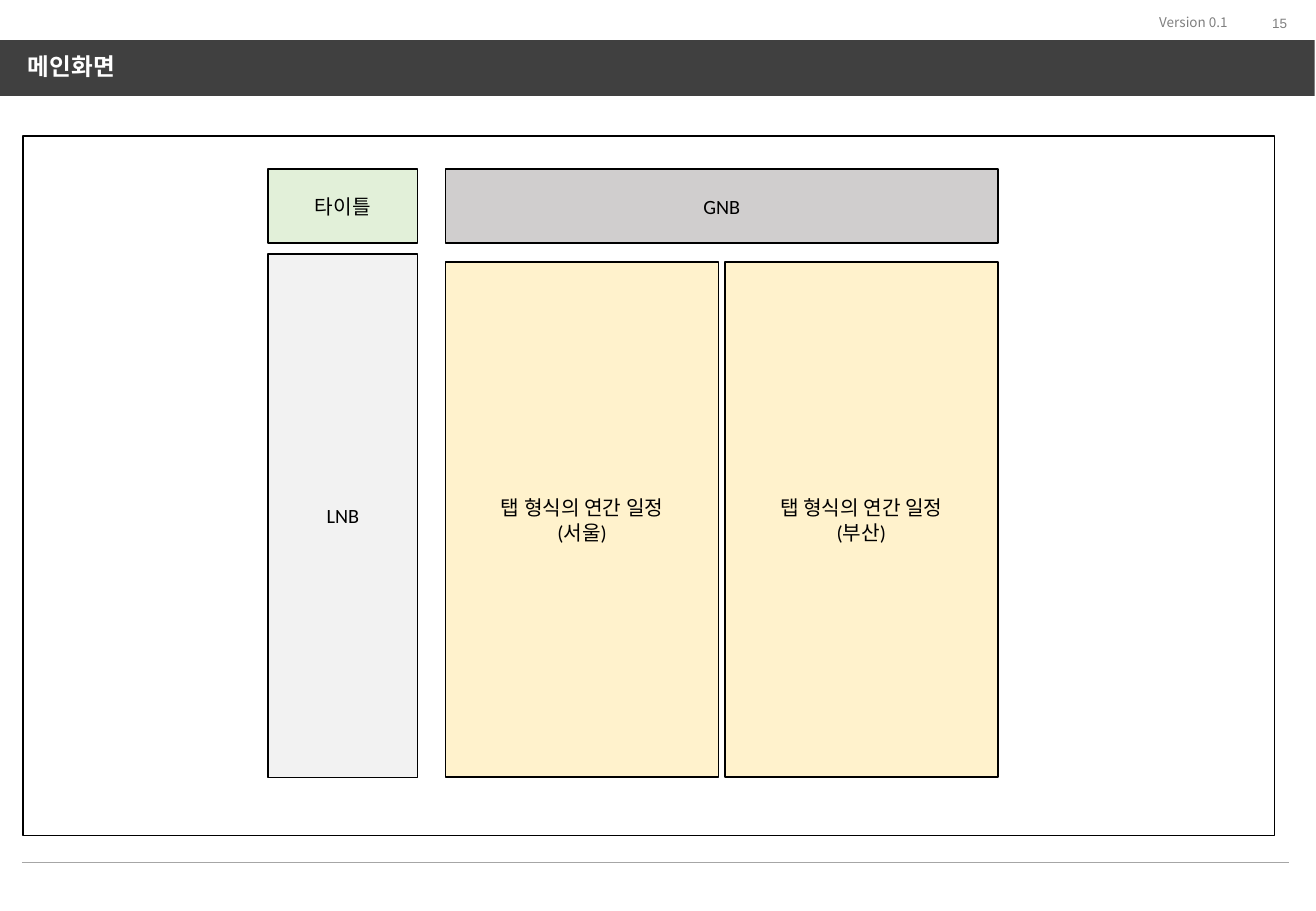
from dataclasses import dataclass

from lxml.etree import SubElement
from pptx import Presentation
from pptx.dml.color import RGBColor
from pptx.enum.shapes import MSO_CONNECTOR, MSO_SHAPE
from pptx.enum.text import MSO_ANCHOR, PP_ALIGN
from pptx.oxml.ns import qn
from pptx.shapes.autoshape import Shape
from pptx.slide import Slide
from pptx.text.text import TextFrame
from pptx.util import Inches, Pt


@dataclass(frozen=True)
class Theme:
    ink: str = "000000"
    white: str = "FFFFFF"
    bar: str = "404040"
    rule: str = "A6A6A6"
    mute: str = "7F7F7F"
    menu: str = "F2F2F2"
    top: str = "D0CECE"
    tab: str = "FFF2CC"
    head: str = "E2F0D9"
    body: str = "Calibri"
    sans: str = "Arial"
    asian: str = "Noto Sans CJK KR"
    small: int = 8
    normal: int = 12
    large: int = 14


@dataclass(frozen=True)
class Box:
    left: float
    top: float
    width: float
    height: float
    fill: str | None = None
    line: str | None = None
    text: str = ""


@dataclass(frozen=True)
class Note:
    left: float
    top: float
    width: float
    height: float
    text: str
    face: str
    align: PP_ALIGN
    anchor: MSO_ANCHOR
    wrap: bool


THEME = Theme()


def write(frame: TextFrame, text: str, face: str, size: int, color: str,
          align: PP_ALIGN, bold: bool = False) -> None:
    frame.text = text
    for para in frame.paragraphs:
        para.alignment = align
        font = para.font
        font.name, font.size, font.bold = face, Pt(size), bold
        font.color.rgb = RGBColor.from_string(color)
        props = para._p.pPr.find(qn("a:defRPr"))
        SubElement(props, qn("a:ea")).set("typeface", THEME.asian)


def draw_box(slide: Slide, box: Box) -> Shape:
    shape = slide.shapes.add_shape(
        MSO_SHAPE.RECTANGLE, Inches(box.left), Inches(box.top),
        Inches(box.width), Inches(box.height))
    shape.shadow.inherit = False
    if box.fill:
        shape.fill.solid()
        shape.fill.fore_color.rgb = RGBColor.from_string(box.fill)
    else:
        shape.fill.background()
    if box.line:
        shape.line.color.rgb = RGBColor.from_string(box.line)
        shape.line.width = Pt(1)
    else:
        shape.line.fill.background()
    if box.text:
        frame = shape.text_frame
        frame.word_wrap = False
        frame.vertical_anchor = MSO_ANCHOR.MIDDLE
        frame.margin_left = frame.margin_right = 0
        frame.margin_top = frame.margin_bottom = 0
        write(frame, box.text, THEME.body, THEME.normal, THEME.ink,
              PP_ALIGN.CENTER)
    return shape


def draw_note(slide: Slide, note: Note) -> None:
    shape = slide.shapes.add_textbox(
        Inches(note.left), Inches(note.top),
        Inches(note.width), Inches(note.height))
    frame = shape.text_frame
    frame.word_wrap = note.wrap
    frame.vertical_anchor = note.anchor
    write(frame, note.text, note.face, THEME.small, THEME.mute, note.align)


def draw_rule(slide: Slide, left: float, right: float, top: float) -> None:
    rule = slide.shapes.add_connector(
        MSO_CONNECTOR.STRAIGHT, Inches(left), Inches(top),
        Inches(right), Inches(top))
    rule.line.color.rgb = RGBColor.from_string(THEME.rule)
    rule.line.width = Pt(0.5)
    SubElement(rule.element.spPr, qn("a:effectLst"))


def draw_title(slide: Slide, text: str) -> None:
    title = slide.shapes.title
    title.left, title.top = Inches(0.13), Inches(0.4)
    title.width, title.height = Inches(10.58), Inches(0.31)
    frame = title.text_frame
    frame.vertical_anchor = MSO_ANCHOR.MIDDLE
    write(frame, text, THEME.sans, THEME.large, THEME.white,
          PP_ALIGN.LEFT, True)
    frame.paragraphs[0].line_spacing = 0.9
    title.element.getparent().append(title.element)


def main() -> None:
    deck = Presentation()
    deck.slide_width, deck.slide_height = Inches(10.84), Inches(7.5)
    slide = deck.slides.add_slide(deck.slide_layouts[5])

    notes = [
        Note(9.91, 0.08, 0.79, 0.22, "15", THEME.sans,
             PP_ALIGN.RIGHT, MSO_ANCHOR.MIDDLE, True),
        Note(9.45, 0.07, 0.78, 0.24, "Version 0.1", THEME.asian,
             PP_ALIGN.LEFT, MSO_ANCHOR.TOP, False),
    ]
    for note in notes:
        draw_note(slide, note)
    draw_rule(slide, 0.18, 10.62, 7.1)
    draw_box(slide, Box(0, 0.33, 10.83, 0.46, THEME.bar))
    draw_title(slide, "메인화면")

    side, main_left, top = 2.21, 3.67, 1.39
    ink = THEME.ink
    tabs = [
        Box(main_left + 2.3 * index, 2.16, 2.25, 4.24, THEME.tab, ink,
            f"탭 형식의 연간 일정\n({city})")
        for index, city in enumerate(("서울", "부산"))
    ]
    boxes = [
        Box(0.19, 1.12, 10.31, 5.76, line=ink),
        Box(side, 2.09, 1.23, 4.31, THEME.menu, ink, "LNB"),
        Box(main_left, top, 4.55, 0.61, THEME.top, ink, "GNB"),
        *tabs,
        Box(side, top, 1.23, 0.61, THEME.head, ink, "타이틀"),
    ]
    for box in boxes:
        draw_box(slide, box)

    deck.save("out.pptx")


if __name__ == "__main__":
    main()
